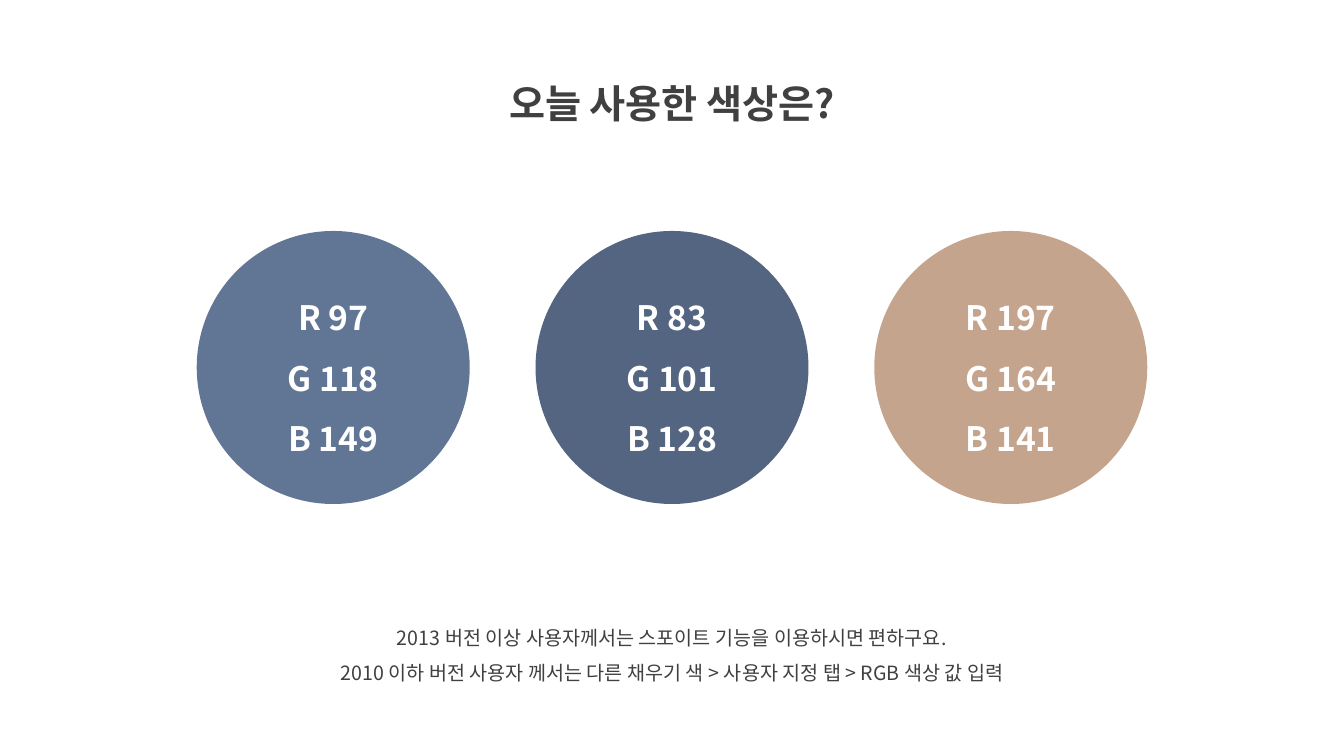
from lxml.etree import SubElement
from pptx import Presentation
from pptx.dml.color import RGBColor
from pptx.enum.shapes import MSO_SHAPE
from pptx.enum.text import MSO_ANCHOR, MSO_AUTO_SIZE, PP_ALIGN
from pptx.oxml.ns import qn
from pptx.util import Pt

TITLE = ["오늘 사용한 색상은?"]
NOTES = [
    "2013 버전 이상 사용자께서는 스포이트 기능을 이용하시면 편하구요.",
    "2010 이하 버전 사용자 께서는 다른 채우기 색 > 사용자 지정 탭 > RGB 색상 값 입력",
]
SWATCHES = [
    ("blue", ["R 97", "G 118", "B 149"]),
    ("navy", ["R 83", "G 101", "B 128"]),
    ("tan", ["R 197", "G 164", "B 141"]),
]
COLORS = {
    "blue": "617695",
    "navy": "536580",
    "tan": "C5A48D",
    "text": "404040",
    "white": "FFFFFF",
}
FONT = "Noto Sans CJK KR"
SLIDE_W, SLIDE_H = 960, 540
CIRCLE, PITCH, CIRCLE_TOP = 195, 242, 165


def color(name):
    return RGBColor.from_string(COLORS[name])


def write(tf, lines, size, ink, bold):
    tf.word_wrap = True
    for i, line in enumerate(lines):
        p = tf.add_paragraph() if i else tf.paragraphs[0]
        p.text = line
        p.alignment = PP_ALIGN.CENTER
        p.line_spacing = 1.5
        p.font.size = Pt(size)
        p.font.bold = bold
        p.font.color.rgb = color(ink)
        p.font.name = FONT
        props = p._p.pPr.find(qn("a:defRPr"))
        SubElement(props, qn("a:ea")).set("typeface", FONT)


def add_text(s, lines, top, width, height, size, bold):
    left = (SLIDE_W - width) / 2
    sp = s.shapes.add_textbox(Pt(left), Pt(top), Pt(width), Pt(height))
    write(sp.text_frame, lines, size, "text", bold)
    sp.text_frame.auto_size = MSO_AUTO_SIZE.SHAPE_TO_FIT_TEXT


def add_swatch(s, left, fill, lines):
    sp = s.shapes.add_shape(
        MSO_SHAPE.OVAL, Pt(left), Pt(CIRCLE_TOP), Pt(CIRCLE), Pt(CIRCLE))
    sp.shadow.inherit = False
    sp.fill.solid()
    sp.fill.fore_color.rgb = color(fill)
    sp.line.fill.background()
    sp.text_frame.vertical_anchor = MSO_ANCHOR.MIDDLE
    write(sp.text_frame, lines, 24, "white", True)


def main():
    prs = Presentation()
    prs.slide_width, prs.slide_height = Pt(SLIDE_W), Pt(SLIDE_H)
    s = prs.slides.add_slide(prs.slide_layouts[6])
    add_text(s, TITLE, 36, 333.5, 52, 28, True)
    add_text(s, NOTES, 435, 575, 58, 14, False)
    row_width = PITCH * (len(SWATCHES) - 1) + CIRCLE
    first_left = (SLIDE_W - row_width) / 2
    for i, (fill, lines) in enumerate(SWATCHES):
        add_swatch(s, first_left + i * PITCH, fill, lines)
    prs.save("out.pptx")


if __name__ == "__main__":
    main()
